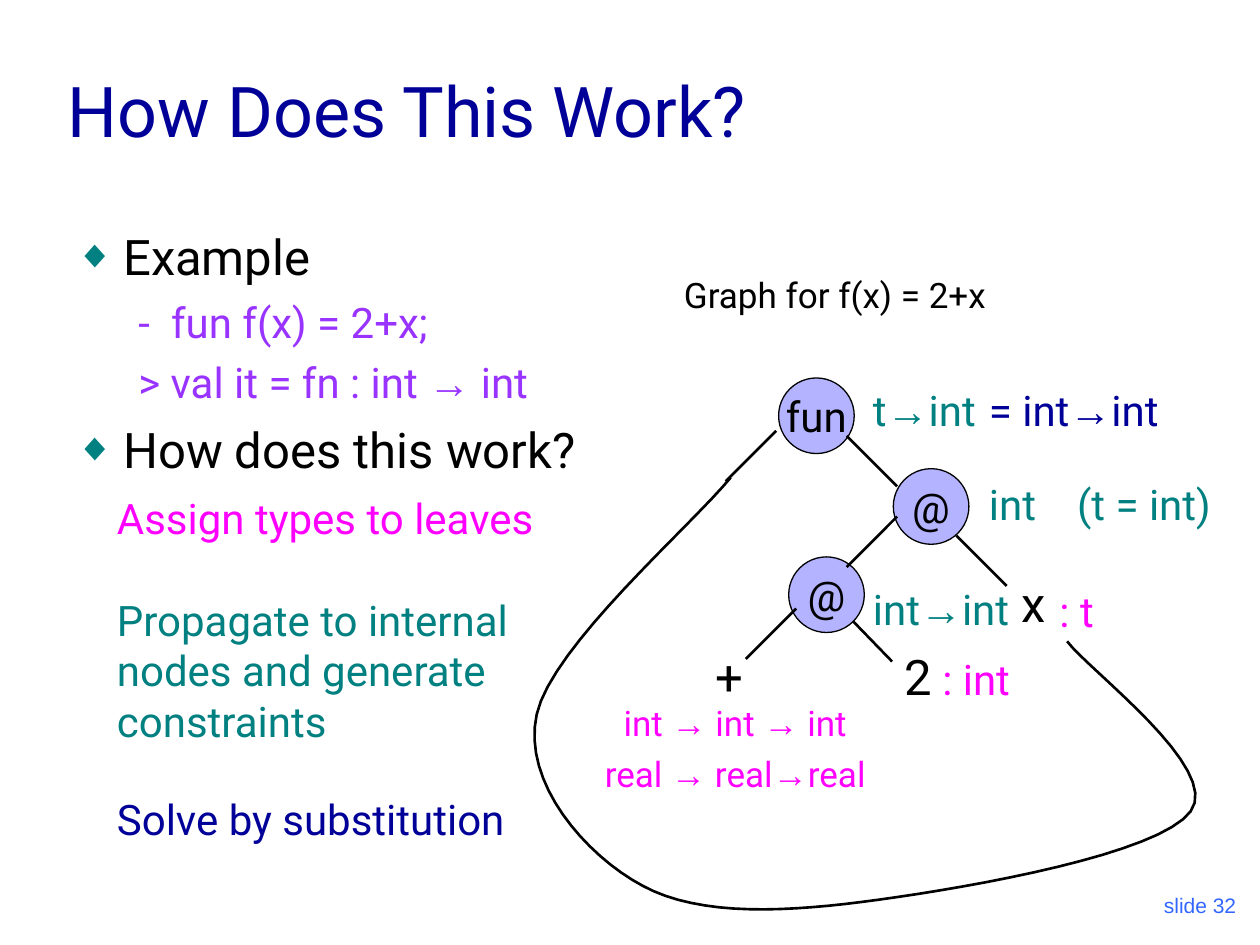
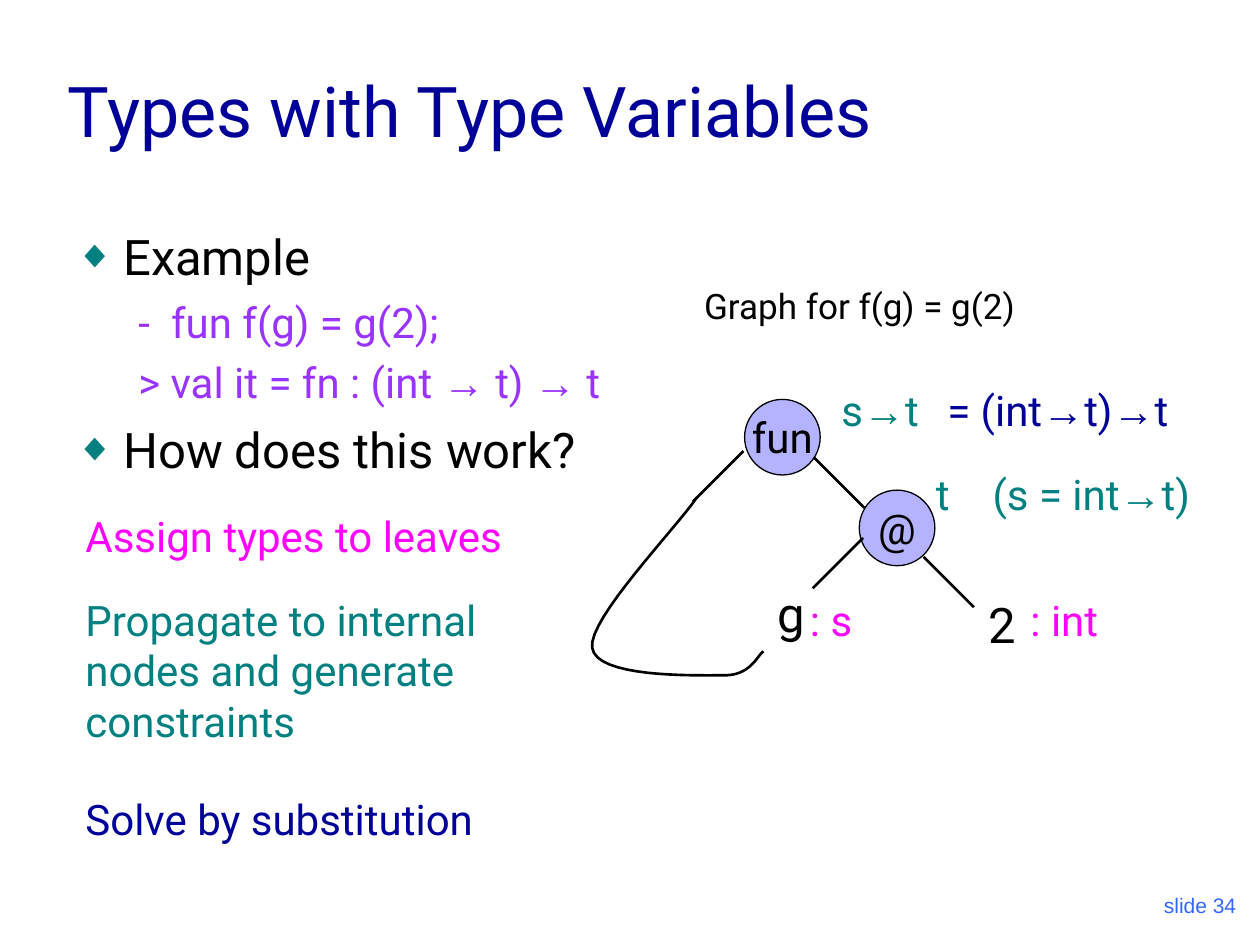
from dataclasses import dataclass
from typing import NamedTuple

from lxml.etree import SubElement
from pptx import Presentation
from pptx.dml.color import RGBColor
from pptx.enum.shapes import MSO_CONNECTOR, MSO_SHAPE
from pptx.enum.text import MSO_ANCHOR, PP_ALIGN
from pptx.oxml.ns import qn
from pptx.util import Inches, Pt

BLACK = RGBColor(0x00, 0x00, 0x00)
NAVY = RGBColor(0x00, 0x00, 0x99)
TEAL = RGBColor(0x00, 0x80, 0x80)
PINK = RGBColor(0xFF, 0x00, 0xFF)
PURPLE = RGBColor(0x99, 0x33, 0xFF)
LILAC = RGBColor(0xB3, 0xB3, 0xFF)
BLUE = RGBColor(0x33, 0x66, 0xFF)

FONT = "Roboto"
ARROW = "→"
NODE = 0.6
STEPS = 16
CENTER = {"alignment": PP_ALIGN.CENTER}
STACKED = {**CENTER, "line_spacing": 0.7, "space_before": Pt(12.5)}


@dataclass
class Label:
    text: str
    left: float
    top: float
    width: float
    color: RGBColor = BLACK
    size: float = 24
    height: float = 0.5
    form: dict | None = None
    tab: float | None = None
    font: str = FONT
    anchor: MSO_ANCHOR = MSO_ANCHOR.TOP


class Node(NamedTuple):
    text: str
    left: float
    top: float


class Edge(NamedTuple):
    left: float
    top: float
    dx: float
    dy: float


class Curve(NamedTuple):
    """Start point, then three control points for each Bezier piece."""
    points: list[tuple[float, float]]


@dataclass
class Page:
    number: int
    title: str
    code: list[str]
    width: float
    steps: tuple[float, float]
    nodes: list[Node]
    edges: list[Edge]
    curve: Curve
    labels: list[Label]


def symbol(text: str, left: float, top: float) -> Label:
    return Label(text, left, top, 0.92, size=28, height=0.57, form=CENTER)


def leaf(text: str, left: float, top: float) -> Label:
    return Label(text, left, top, 0.49, size=28, height=0.57)


PAGES = [
    Page(
        32, "How Does This Work?",
        ["-\tfun f(x) = 2+x;", "> val it = fn : int → int"], 4.33,
        (0.83, 3.86),
        [Node("fun", 6.18, 3), Node("@", 7.09, 3.72), Node("@", 6.26, 4.42)],
        [
            Edge(6.72, 3.46, 0.4, 0.4), Edge(7.59, 4.25, 0.4, 0.4),
            Edge(7.12, 4.1, -0.4, 0.4), Edge(6.32, 4.83, -0.4, 0.4),
            Edge(6.16, 3.42, -0.4, 0.4), Edge(6.77, 4.93, 0.31, 0.32),
        ],
        Curve([
            (8.47, 5.09), (8.64, 5.32), (9.7, 6.1), (9.45, 6.44),
            (9.2, 6.78), (7.71, 7.04), (6.98, 7.14),
            (6.26, 7.24), (5.56, 7.28), (5.1, 7.03),
            (4.65, 6.79), (4.14, 6.21), (4.26, 5.67),
            (4.38, 5.13), (5.48, 4.18), (5.8, 3.79),
        ]),
        [
            leaf("x", 8.01, 4.5),
            symbol("+", 5.33, 5.08),
            symbol("2", 6.83, 5.08),
            Label(": t", 8.31, 4.6, 1.25, PINK),
            Label("int → int → int\nreal → real→real", 4.42, 5.61, 2.83,
                  PINK, 20, 0.74, STACKED),
            Label(": int", 7.38, 5.14, 1.25, PINK),
            Label("int\t(t = int)", 7.75, 3.75, 2.25, TEAL, tab=0.7),
            Label("int→int", 6.83, 4.58, 1.83, TEAL),
            Label("t→int", 6.83, 3, 1.17, TEAL),
            Label("= int→int", 7.75, 3, 1.83, NAVY),
            Label("Graph for f(x) = 2+x", 5.33, 2.12, 2.83, size=20),
        ],
    ),
    Page(
        34, "Types with Type Variables",
        ["-\tfun f(g) = g(2);", "> val it = fn : (int → t) → t"], 8.94,
        (0.58, 4),
        [Node("fun", 5.91, 3.17), Node("@", 6.82, 3.89)],
        [
            Edge(5.9, 3.58, -0.4, 0.4), Edge(6.46, 3.63, 0.4, 0.4),
            Edge(7.33, 4.42, 0.4, 0.4), Edge(6.85, 4.27, -0.4, 0.4),
        ],
        Curve([
            (6.06, 5.17), (6.01, 5.2), (5.96, 5.37), (5.73, 5.36),
            (5.5, 5.36), (4.73, 5.38), (4.7, 5.14),
            (4.67, 4.91), (5.36, 4.2), (5.53, 3.95),
        ]),
        [
            leaf("2", 7.75, 4.67),
            symbol("g", 5.82, 4.58),
            Label(": int", 8.08, 4.67, 1.25, PINK),
            Label(": s", 6.33, 4.67, 1.25, PINK),
            Label("t\t(s = int→t)", 7.33, 3.67, 2.5, TEAL, tab=0.45),
            Label("s→t", 6.58, 3, 1.17, TEAL),
            Label("= (int→t)→t", 7.42, 3, 2.33, NAVY),
            Label("Graph for f(g) = g(2)", 5.49, 2.21, 3.67, size=20),
        ],
    ),
]


def write(para, text: str, size: float, color: RGBColor,
          font: str = FONT, form: dict | None = None) -> None:
    """Fill a paragraph, setting each arrow in Arial."""
    for key, value in (form or {}).items():
        setattr(para, key, value)
    for index, part in enumerate(text.split(ARROW)):
        pieces = [(part, font)]
        if index:
            pieces.insert(0, (ARROW, "Arial"))
        for piece, face in pieces:
            if piece:
                run = para.add_run()
                run.text = piece
                look = {"name": face, "size": Pt(size)}
                for key, value in look.items():
                    setattr(run.font, key, value)
                run.font.color.rgb = color


def add_tab(para, place: float) -> None:
    tabs = SubElement(para._p.get_or_add_pPr(), qn("a:tabLst"))
    SubElement(tabs, qn("a:tab"), pos=str(Inches(place)), algn="l")


def indent(para, margin: float, hang: float) -> None:
    props = para._p.get_or_add_pPr()
    props.set("marL", str(Inches(margin)))
    props.set("indent", str(-Inches(hang)))


def add_bullet(para) -> None:
    props = para._p.get_or_add_pPr()
    color = SubElement(props, qn("a:buClr"))
    SubElement(color, qn("a:srgbClr"), val=str(TEAL))
    SubElement(props, qn("a:buSzPct"), val="80000")
    SubElement(props, qn("a:buFont"), typeface="Arial")
    SubElement(props, qn("a:buChar"), char="◆")


def add_box(slide, left: float, top: float, width: float, height: float):
    box = slide.shapes.add_textbox(
        Inches(left), Inches(top), Inches(width), Inches(height))
    box.text_frame.word_wrap = True
    return box.text_frame


def add_label(slide, item: Label) -> None:
    frame = add_box(slide, item.left, item.top, item.width, item.height)
    frame.vertical_anchor = item.anchor
    for index, line in enumerate(item.text.split("\n")):
        para = frame.add_paragraph() if index else frame.paragraphs[0]
        write(para, line, item.size, item.color, item.font, item.form)
        if item.tab is not None:
            add_tab(para, item.tab)


def add_body(slide, page: Page) -> None:
    frame = add_box(slide, 0.5, 1.75, page.width, 2.17)
    lines = ["Example", *page.code, "How does this work?"]
    for index, line in enumerate(lines):
        para = frame.add_paragraph() if index else frame.paragraphs[0]
        if line in page.code:
            write(para, line, 24, PURPLE, form={"space_before": Pt(6), "level": 1})
            indent(para, 0.76, 0.26)
            add_tab(para, 0.76)
        else:
            write(para, line, 28, BLACK, form={"space_before": Pt(7)})
            indent(para, 0.38, 0.38)
            add_bullet(para)


def add_steps(slide, left: float, top: float) -> None:
    for item in (
        Label("Assign types to leaves", left, top, 3.67, PINK),
        Label("Propagate to internal nodes and generate constraints",
              left, 4.67, 4.1, TEAL, height=1.3),
        Label("Solve by substitution", left, 6.25, 3.67, NAVY),
    ):
        add_label(slide, item)


def add_node(slide, node: Node) -> None:
    shape = slide.shapes.add_shape(
        MSO_SHAPE.OVAL, Inches(node.left), Inches(node.top),
        Inches(NODE), Inches(NODE))
    shape.shadow.inherit = False
    shape.fill.solid()
    shape.fill.fore_color.rgb = LILAC
    shape.line.color.rgb = BLACK
    shape.line.width = Pt(0.75)
    frame = shape.text_frame
    frame.word_wrap = False
    frame.vertical_anchor = MSO_ANCHOR.MIDDLE
    write(frame.paragraphs[0], node.text, 24, BLACK, form=CENTER)


def add_edge(slide, edge: Edge) -> None:
    line = slide.shapes.add_connector(
        MSO_CONNECTOR.STRAIGHT, Inches(edge.left), Inches(edge.top),
        Inches(edge.left + edge.dx), Inches(edge.top + edge.dy))
    line.line.color.rgb = BLACK
    line.line.width = Pt(1.5)
    SubElement(line._element.spPr, qn("a:effectLst"))


def bend(a: float, b: float, c: float, d: float, t: float) -> float:
    """Cubic Bezier value at t."""
    u = 1 - t
    return u**3 * a + 3 * u * u * t * b + 3 * u * t * t * c + t**3 * d


def add_curve(slide, curve: Curve) -> None:
    points = curve.points
    trail = []
    for start in range(0, len(points) - 1, 3):
        xs, ys = zip(*points[start:start + 4])
        for step in range(1, STEPS + 1):
            t = step / STEPS
            trail.append((Inches(bend(*xs, t)), Inches(bend(*ys, t))))
    left, top = points[0]
    pen = slide.shapes.build_freeform(Inches(left), Inches(top))
    pen.add_line_segments(trail, close=False)
    shape = pen.convert_to_shape()
    shape.shadow.inherit = False
    shape.fill.background()
    shape.line.color.rgb = BLACK
    shape.line.width = Pt(1.5)


def add_page(deck, page: Page) -> None:
    slide = deck.slides.add_slide(deck.slide_layouts[6])
    add_label(slide, Label(f"slide {page.number}", 7.83, 6.83, 2.08, BLUE, 12,
                           form={"alignment": PP_ALIGN.RIGHT}, font="Arial",
                           anchor=MSO_ANCHOR.BOTTOM))
    add_label(slide, Label(page.title, 0.44, 0.25, 8.5, NAVY, 40, 1,
                           anchor=MSO_ANCHOR.BOTTOM))
    add_body(slide, page)
    for node in page.nodes:
        add_node(slide, node)
    for edge in page.edges:
        add_edge(slide, edge)
    add_curve(slide, page.curve)
    add_steps(slide, *page.steps)
    for item in page.labels:
        add_label(slide, item)


def main() -> None:
    deck = Presentation()
    deck.slide_width, deck.slide_height = Inches(10), Inches(7.5)
    for page in PAGES:
        add_page(deck, page)
    deck.save("out.pptx")


if __name__ == "__main__":
    main()
